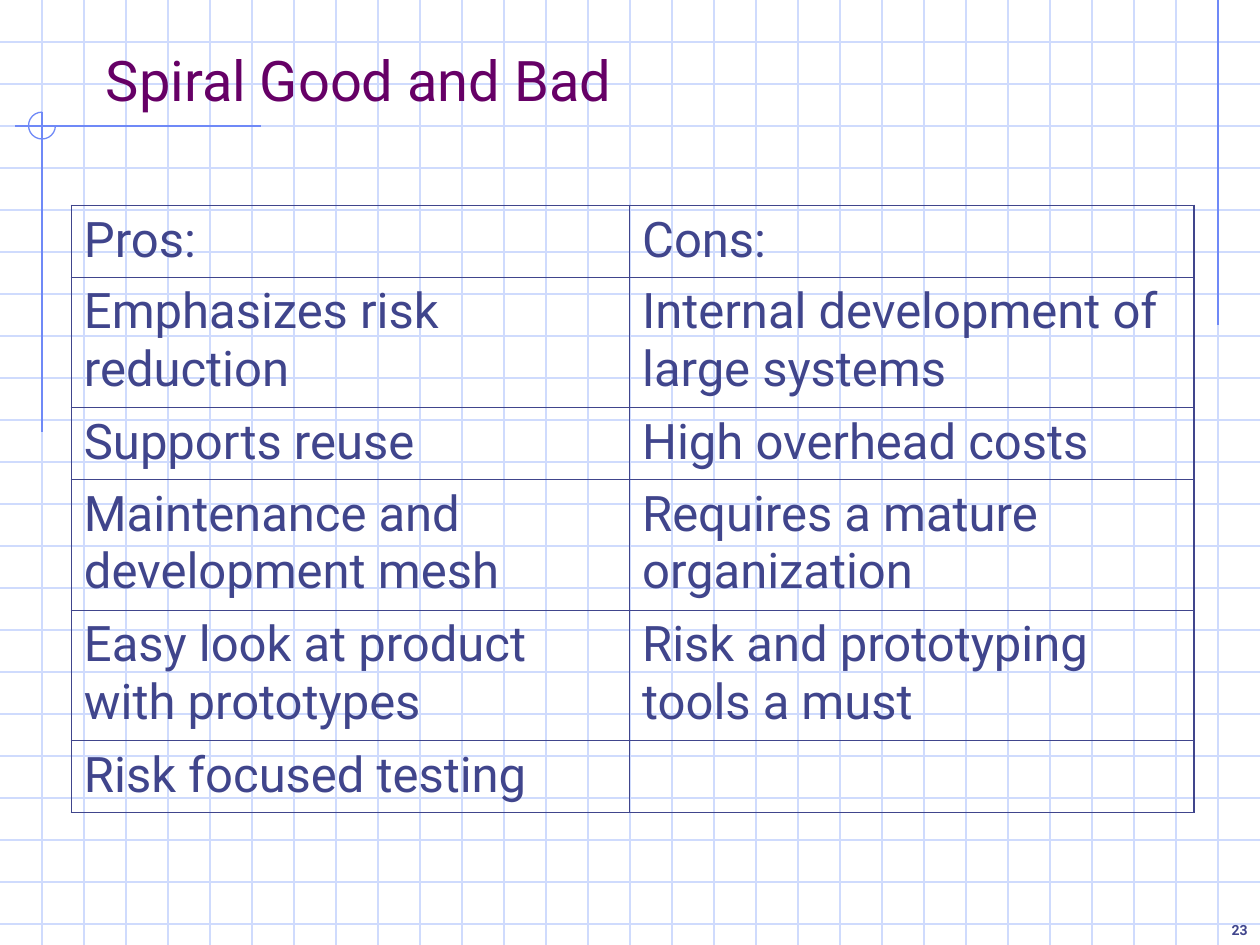
from lxml import etree
from pptx import Presentation
from pptx.dml.color import RGBColor
from pptx.enum.shapes import MSO_CONNECTOR, MSO_SHAPE
from pptx.enum.text import MSO_ANCHOR, PP_ALIGN
from pptx.oxml.ns import qn
from pptx.util import Inches, Pt

STRAIGHT = MSO_CONNECTOR.STRAIGHT
ARC = MSO_SHAPE.ARC
BOTTOM = MSO_ANCHOR.BOTTOM
LEFT, RIGHT = PP_ALIGN.LEFT, PP_ALIGN.RIGHT
TITLE_ONLY = 5

COLS, ROWS = 30, 22.5  # graph-paper squares, three to the inch
COLORS = {"grid": "CFDBFD", "accent": "6F89F7", "title": "660066", "body": "40458C"}
PROS_AND_CONS = [
    ("Pros:", "Cons:"),
    ("Emphasizes risk reduction", "Internal development of large systems"),
    ("Supports reuse", "High overhead costs"),
    ("Maintenance and development mesh", "Requires a mature organization"),
    ("Easy look at product with prototypes", "Risk and prototyping tools a must"),
    ("Risk focused testing", ""),
]
SINGLE, DOUBLE = 1.71, 3.11
ROW_HEIGHTS = [SINGLE, DOUBLE, SINGLE, DOUBLE, DOUBLE, SINGLE]


def squares(*counts):
    """Convert numbers of grid squares to lengths."""
    return [Inches(count / 3) for count in counts]


class GraphPaperSlide:
    font = "Roboto"
    line_width = 0.75

    def __init__(self, presentation):
        self.slide = presentation.slides.add_slide(presentation.slide_layouts[TITLE_ONLY])
        self.shapes = self.slide.shapes

    def rgb(self, color):
        return RGBColor.from_string(COLORS[color])

    def set_text(self, frame, text, size, color, align=LEFT, bold=False):
        paragraph = frame.paragraphs[0]
        paragraph.alignment = align
        run = paragraph.add_run()
        run.text = text
        font_values = {"name": self.font, "size": Pt(size), "bold": bold}
        for attribute, value in font_values.items():
            setattr(run.font, attribute, value)
        run.font.color.rgb = self.rgb(color)

    def line(self, x1, y1, x2, y2, color):
        connector = self.shapes.add_connector(STRAIGHT, *squares(x1, y1, x2, y2))
        connector.line.color.rgb = self.rgb(color)
        connector.line.width = Pt(self.line_width)
        etree.SubElement(connector._element.spPr, qn("a:effectLst"))

    def grid(self):
        for row in range(1, int(ROWS) + 1):
            self.line(0, row, COLS, row, "grid")
        for column in range(1, COLS):
            self.line(column, 0, column, ROWS, "grid")

    def three_quarter_arc(self, x, y, size):
        """Draw an arc clockwise from the right round to the top."""
        arc = self.shapes.add_shape(ARC, *squares(x, y, size, size))
        arc.adjustments[0], arc.adjustments[1] = 0, 162
        arc.shadow.inherit = False
        arc.fill.background()
        arc.line.color.rgb = self.rgb("accent")
        arc.line.width = Pt(self.line_width)

    def title(self, text, x, y, width, height):
        title = self.shapes.title
        title._element.getparent().append(title._element)  # above the grid
        title.left, title.top, title.width, title.height = squares(x, y, width, height)
        title.text_frame.vertical_anchor = BOTTOM
        self.set_text(title.text_frame, text, 32, "title")

    def page_number(self, text, x, y, width, height):
        frame = self.shapes.add_textbox(*squares(x, y, width, height)).text_frame
        frame.word_wrap = True
        frame.vertical_anchor = BOTTOM
        self.set_text(frame, text, 8, "body", RIGHT, bold=True)

    def border(self, cell, side, width):
        edge = etree.SubElement(cell._tc.get_or_add_tcPr(), qn(f"a:ln{side}"), w=str(Pt(width)))
        fill = etree.SubElement(edge, qn("a:solidFill"))
        etree.SubElement(fill, qn("a:srgbClr"), val=COLORS["body"])

    def table(self, entries, x, y, widths, heights):
        box = squares(x, y, sum(widths), sum(heights))
        table = self.shapes.add_table(len(heights), len(widths), *box).table
        table.first_row = table.horz_banding = False
        for column, width in zip(table.columns, squares(*widths)):
            column.width = width
        for row, height in zip(table.rows, squares(*heights)):
            row.height = height
        last_row, last_column = len(heights) - 1, len(widths) - 1
        for r, texts in enumerate(entries):
            for c, text in enumerate(texts):
                cell = table.cell(r, c)
                outer = {"L": c == 0, "R": c == last_column, "T": r == 0, "B": r == last_row}
                for side, is_outer in outer.items():
                    self.border(cell, side, 1.08 if is_outer else 0.45)
                cell.fill.background()
                if text:
                    self.set_text(cell.text_frame, text, 28, "body")


def main():
    presentation = Presentation()
    presentation.slide_width, presentation.slide_height = squares(COLS, ROWS)
    page = GraphPaperSlide(presentation)
    page.grid()
    page.line(29, 0, 29, 7.74, "accent")
    page.line(6.21, 3, 0.36, 3, "accent")
    page.line(1, 2.67, 1, 10.29, "accent")
    page.three_quarter_arc(0.68, 2.67, 0.64)
    page.title("Spiral Good and Bad", 2.22, 1, 25.5, 1.83)
    page.table(PROS_AND_CONS, 1.7, 4.89, [13.29, 13.44], ROW_HEIGHTS)
    page.page_number("23", 28.6, 21.6, 1.4, 0.9)
    presentation.save("out.pptx")


if __name__ == "__main__":
    main()
